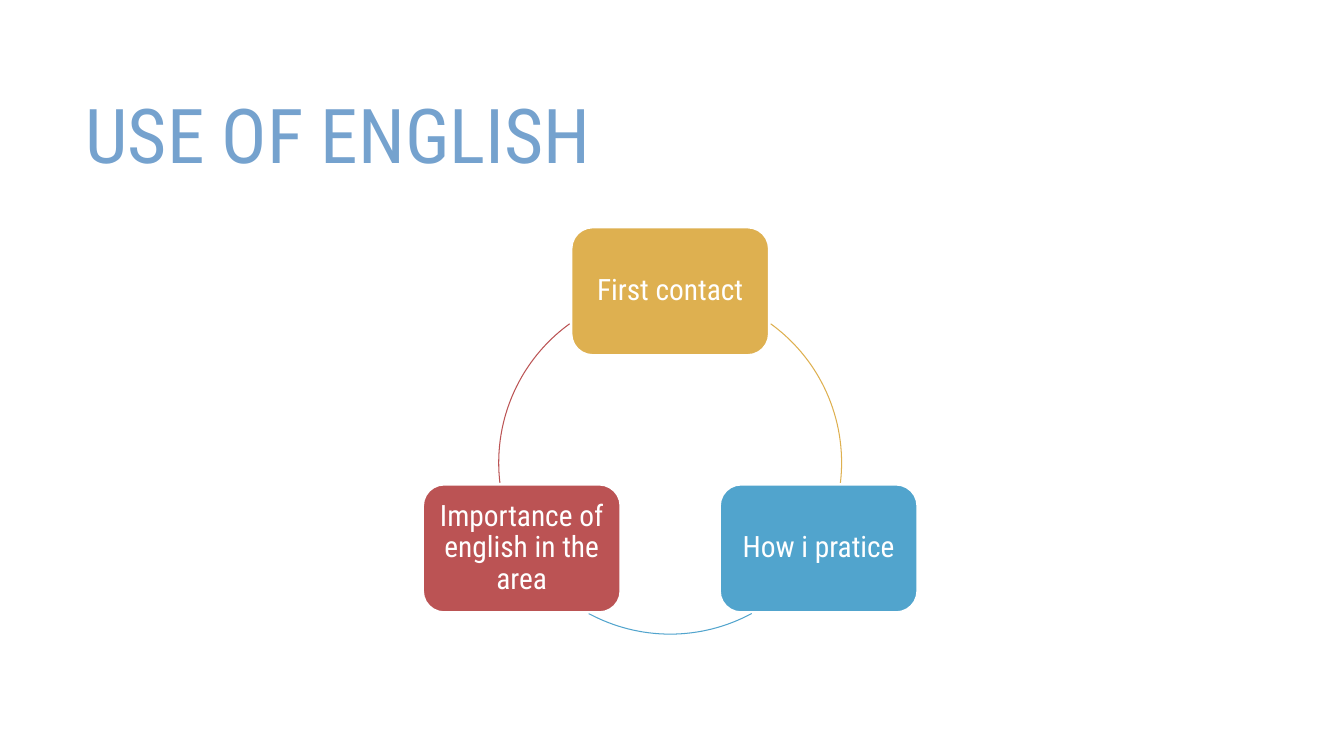
import math

import pptx
import pptx.dml.color
import pptx.enum.shapes
import pptx.enum.text
import pptx.util

HEADING = "USE OF ENGLISH"
TOPICS = [
    {"label": "First contact", "color": "gold", "arc": (305.9, 6.75)},
    {"label": "How i pratice", "color": "blue", "arc": (61.6, 118.4)},
    {"label": "Importance of english in the area", "color": "red", "arc": (173.25, 234.1)},
]

THEME = {
    "font": "Roboto Condensed",
    "heading_size": 54,
    "topic_size": 21,
    "heading": "75A2CE",
    "white": "FFFFFF",
    "gold": "DEB050",
    "blue": "51A4CD",
    "red": "BB5354",
}

CYCLE_X, CYCLE_Y, CYCLE_RADIUS = 16.89, 11.66, 4.32
TOPIC_WIDTH, TOPIC_HEIGHT = 4.98, 3.22
TOPIC_INSET = 0.23

Cm = pptx.util.Cm
Pt = pptx.util.Pt
SHAPES = pptx.enum.shapes.MSO_SHAPE
ALIGN = pptx.enum.text.PP_ALIGN


def theme_color(name):
    return pptx.dml.color.RGBColor.from_string(THEME[name])


def write(frame, wording, size, color, alignment):
    frame.word_wrap = True
    frame.vertical_anchor = pptx.enum.text.MSO_ANCHOR.MIDDLE
    paragraph = frame.paragraphs[0]
    paragraph.alignment = alignment
    paragraph.line_spacing = 0.9
    run = paragraph.add_run()
    run.text = wording
    run.font.name = THEME["font"]
    run.font.size = Pt(THEME[size])
    run.font.color.rgb = theme_color(color)


def add_centred(slide, preset, x, y, width, height, line_color, line_width):
    shape = slide.shapes.add_shape(
        preset, Cm(x - width / 2), Cm(y - height / 2), Cm(width), Cm(height)
    )
    shape.shadow.inherit = False
    shape.line.color.rgb = theme_color(line_color)
    shape.line.width = Pt(line_width)
    return shape


def add_topic(slide, topic, angle):
    x = CYCLE_X + CYCLE_RADIUS * math.cos(angle)
    y = CYCLE_Y + CYCLE_RADIUS * math.sin(angle)
    card = add_centred(
        slide, SHAPES.ROUNDED_RECTANGLE, x, y, TOPIC_WIDTH, TOPIC_HEIGHT, "white", 1.5
    )
    card.fill.solid()
    card.fill.fore_color.rgb = theme_color(topic["color"])
    frame = card.text_frame
    frame.margin_left = frame.margin_right = Cm(TOPIC_INSET)
    frame.margin_top = frame.margin_bottom = Cm(TOPIC_INSET)
    write(frame, topic["label"], "topic_size", "white", ALIGN.CENTER)


def add_link(slide, topic):
    diameter = 2 * CYCLE_RADIUS
    link = add_centred(
        slide, SHAPES.ARC, CYCLE_X, CYCLE_Y, diameter, diameter, topic["color"], 0.75
    )
    link.fill.background()
    for index, degrees in enumerate(topic["arc"]):
        link.adjustments[index] = degrees * 0.6


def main():
    deck = pptx.Presentation()
    deck.slide_width, deck.slide_height = Cm(33.87), Cm(19.05)
    slide = deck.slides.add_slide(deck.slide_layouts[5])

    heading = slide.shapes.title
    heading.left, heading.top = Cm(1.9), Cm(1.9)
    heading.width, heading.height = Cm(29.97), Cm(3.2)
    write(heading.text_frame, HEADING, "heading_size", "heading", ALIGN.LEFT)

    for index, topic in enumerate(TOPICS):
        add_topic(slide, topic, math.radians(-90 + index * 360 / len(TOPICS)))
        add_link(slide, topic)

    deck.save("out.pptx")


if __name__ == "__main__":
    main()
